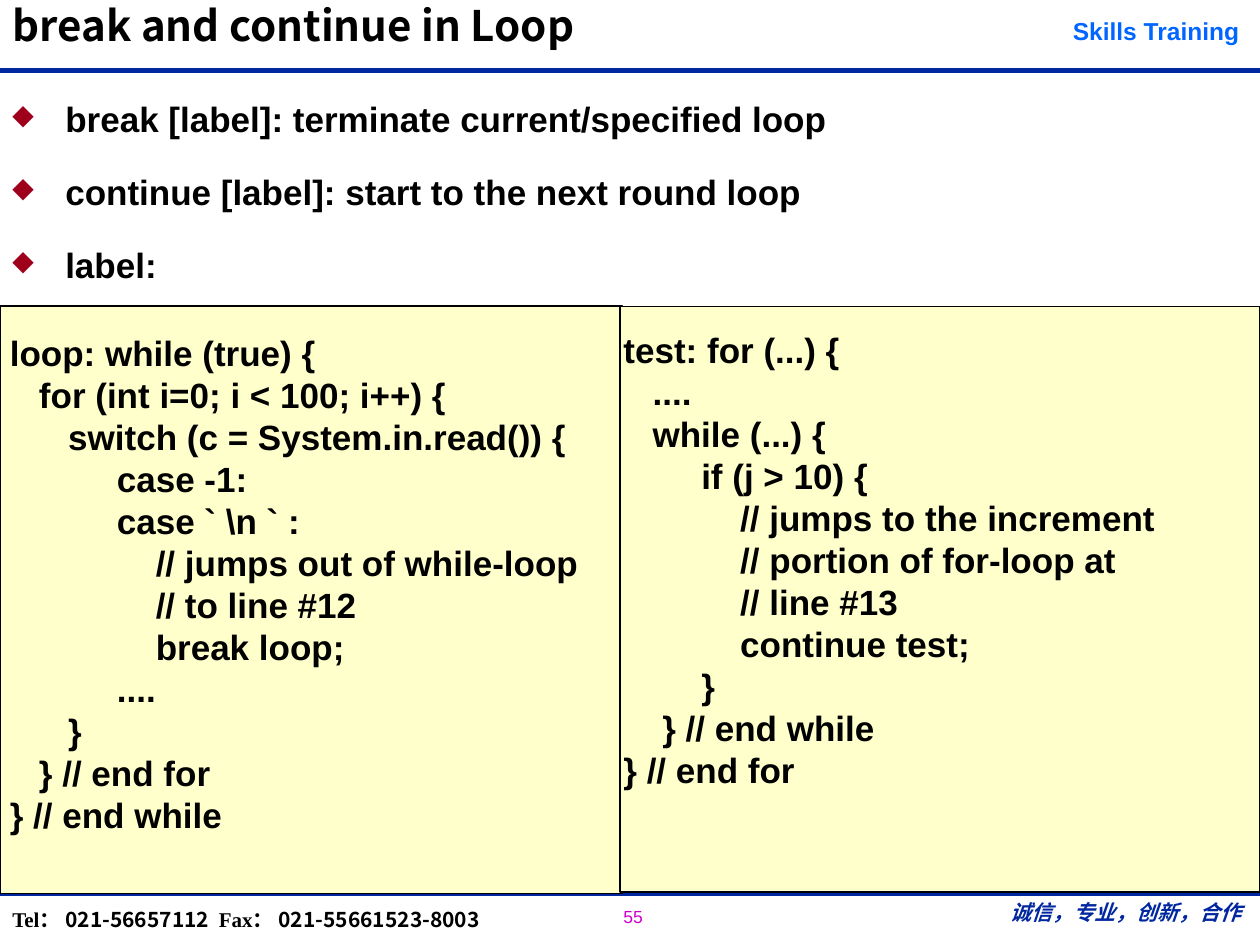
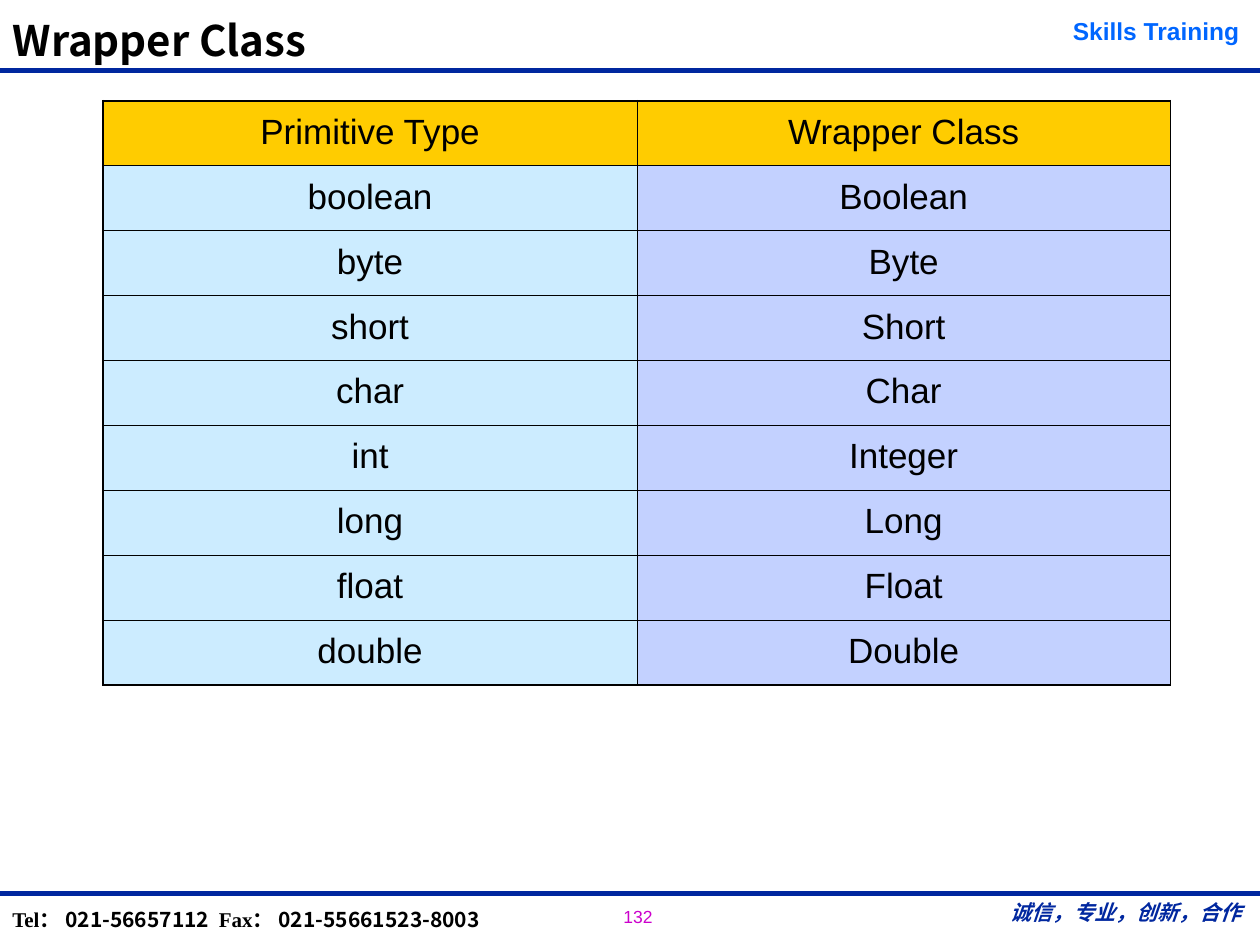
from lxml.etree import SubElement
from pptx import Presentation
from pptx.dml.color import RGBColor
from pptx.enum.shapes import MSO_CONNECTOR, MSO_SHAPE
from pptx.enum.text import MSO_ANCHOR as ANCHOR, MSO_AUTO_SIZE as FIT, PP_ALIGN as ALIGN
from pptx.oxml import parse_xml
from pptx.oxml.ns import nsdecls, qn
from pptx.util import Inches, Pt

BLACK = RGBColor(0x00, 0x00, 0x00)
NAVY = RGBColor(0x00, 0x27, 0x9F)
BLUE = RGBColor(0x00, 0x66, 0xFF)
MAGENTA = RGBColor(0xCC, 0x00, 0xCC)
DARK_RED = RGBColor(0x9E, 0x00, 0x1B)
CREAM = RGBColor(0xFF, 0xFF, 0xCC)
GOLD = RGBColor(0xFF, 0xCC, 0x00)
SKY = RGBColor(0xCC, 0xEC, 0xFF)
LAVENDER = RGBColor(0xC3, 0xD1, 0xFF)

SANS, SERIF, CJK = "Arial", "Times New Roman", "Noto Sans CJK SC"
COLS, ROWS = 100, 75
CODE_SPACE = Pt(5.56)

BULLETS = (
    "break [label]: terminate current/specified loop",
    "continue [label]: start to the next round loop",
    "label:",
)

BREAK_CODE = r"""loop: while (true) {
   for (int i=0; i < 100; i++) {
      switch (c = System.in.read()) {
           case -1:
           case ` \n ` :
               // jumps out of while-loop
               // to line #12
               break loop;
           ....
      }
   } // end for
} // end while"""

CONTINUE_CODE = """test: for (...) {
   ....
   while (...) {
        if (j > 10) {
            // jumps to the increment
            // portion of for-loop at
            // line #13
            continue test;
        }
    } // end while
} // end for"""

WRAPPERS = (
    ("Primitive Type", "Wrapper Class"),
    ("boolean", "Boolean"),
    ("byte", "Byte"),
    ("short", "Short"),
    ("char", "Char"),
    ("int", "Integer"),
    ("long", "Long"),
    ("float", "Float"),
    ("double", "Double"),
)


class Deck:
    """Holds the presentation, its grid and the slide being built."""

    def __init__(self):
        self.prs = Presentation()
        self.prs.slide_width, self.prs.slide_height = Inches(10), Inches(7.5)
        self.s = None

    def x(self, cols):
        return round(self.prs.slide_width * cols / COLS)

    def y(self, rows):
        return round(self.prs.slide_height * rows / ROWS)

    def box(self, left, top, width, height):
        return self.x(left), self.y(top), self.x(width), self.y(height)

    def run(self, p, text, size, font=SANS, color=BLACK, bold=True, italic=False):
        r = p.add_run()
        r.text = text
        f = r.font
        f.size, f.name, f.bold, f.italic = Pt(size), font, bold, italic
        f.color.rgb = color
        SubElement(r._r.get_or_add_rPr(), qn("a:ea")).set("typeface", CJK)

    def paragraphs(self, tf, count):
        return [tf.paragraphs[0]] + [tf.add_paragraph() for _ in range(count - 1)]

    def text(self, *area):
        tf = self.s.shapes.add_textbox(*self.box(*area)).text_frame
        tf.word_wrap = True
        return tf

    def label(self, area, *runs, align=ALIGN.LEFT):
        p = self.text(*area).paragraphs[0]
        p.alignment = align
        for text, style in runs:
            self.run(p, text, **style)

    def rule(self, row):
        sp = self.s.shapes.add_connector(
            MSO_CONNECTOR.STRAIGHT, 0, self.y(row), self.x(COLS), self.y(row))
        sp.line.color.rgb = NAVY
        sp.line.width = Pt(2.75)
        SubElement(sp._element.spPr, qn("a:effectLst"))

    def slide(self, title, number, anchor):
        self.s = self.prs.slides.add_slide(self.prs.slide_layouts[5])
        self.title(title, anchor)
        self.rule(5.6)
        self.rule(70.9)
        self.label((83.8, 0.8, 15.9, 3.3),
                   ("Skills Training", dict(size=14, color=BLUE)), align=ALIGN.CENTER)
        self.label((48.5, 71.4, 8.3, 2.6),
                   (number, dict(size=10, color=MAGENTA, bold=False)))
        slogan = dict(font=SERIF, color=NAVY, italic=True)
        self.label((78.4, 70.1, 21.4, 4), (" ", dict(size=18, **slogan)),
                   ("诚信，专业，创新，合作", dict(size=12, **slogan)), align=ALIGN.CENTER)
        caption, digits = dict(size=12, font=SERIF), dict(size=12, font=CJK)
        self.label((0, 69.8, 42.9, 5),
                   ("Tel： ", caption), ("021-56657112", digits),
                   (" ", dict(size=24, font=CJK, italic=True)),
                   ("Fax： ", caption), ("021-55661523-8003", digits))

    def title(self, text, anchor):
        sp = self.s.shapes.title
        sp.left, sp.top, sp.width, sp.height = self.box(0, 0, 83.4, 5.7)
        tf = sp.text_frame
        tf.auto_size, tf.vertical_anchor = FIT.NONE, anchor
        p = tf.paragraphs[0]
        p.alignment, p.line_spacing = ALIGN.LEFT, 0.87
        self.run(p, text, 24, CJK)

    def bullets(self, area, items):
        tf = self.text(*area)
        for p, item in zip(self.paragraphs(tf, len(items)), items):
            p.line_spacing = Pt(29.9)
            p.space_before = p.space_after = Pt(5.9)
            pPr = p._p.get_or_add_pPr()
            pPr.set("marL", str(self.x(4.2)))
            pPr.set("indent", str(-self.x(4.2)))
            color = SubElement(pPr, qn("a:buClr"))
            SubElement(color, qn("a:srgbClr")).set("val", str(DARK_RED))
            SubElement(pPr, qn("a:buSzPct")).set("val", "80000")
            SubElement(pPr, qn("a:buChar")).set("char", "◆")
            self.run(p, item, 20)

    def code(self, panel, area, source):
        sp = self.s.shapes.add_shape(MSO_SHAPE.RECTANGLE, *self.box(*panel))
        sp.shadow.inherit = False
        sp.fill.solid()
        sp.fill.fore_color.rgb = CREAM
        sp.line.color.rgb = BLACK
        sp.line.width = Pt(0.75)
        lines = source.splitlines()
        for p, line in zip(self.paragraphs(self.text(*area), len(lines)), lines):
            code = line.lstrip()
            indent = CODE_SPACE * (len(line) - len(code))
            p._p.get_or_add_pPr().set("marL", str(indent))
            self.run(p, code, 20)

    def table(self, area, data):
        last_row, last_col = len(data) - 1, len(data[0]) - 1
        tbl = self.s.shapes.add_table(last_row + 1, last_col + 1, *self.box(*area)).table
        tbl.first_row = tbl.horz_banding = False
        for i, row in enumerate(data):
            for j, text in enumerate(row):
                cell = tbl.cell(i, j)
                cell.vertical_anchor = ANCHOR.MIDDLE
                cell.fill.solid()
                cell.fill.fore_color.rgb = (SKY, LAVENDER)[j] if i else GOLD
                p = cell.text_frame.paragraphs[0]
                p.alignment, p.line_spacing = ALIGN.CENTER, 0.93
                p.space_before = p.space_after = Pt(5.9)
                self.run(p, text, 20, bold=False)
                self.borders(cell, L=j == 0, R=j == last_col, T=i == 0, B=i == last_row)

    def borders(self, cell, **outer_sides):
        tcPr = cell._tc.get_or_add_tcPr()
        for k, (side, outer) in enumerate(outer_sides.items()):
            width = Pt(1.08 if outer else 0.45)
            tcPr.insert(k, parse_xml(
                f'<a:ln{side} {nsdecls("a")} w="{width}"><a:solidFill>'
                f'<a:srgbClr val="{BLACK}"/></a:solidFill></a:ln{side}>'))


def main():
    deck = Deck()

    deck.slide("break and continue in Loop", "55", ANCHOR.TOP)
    deck.bullets((0, 6.4, 100, 17.9), BULLETS)
    deck.code((0, 24.3, 49.4, 46.6), (-0.2, 25.8, 49, 44.4), BREAK_CODE)
    deck.code((49.2, 24.3, 50.8, 46.5), (48.5, 25.6, 49, 44.4), CONTINUE_CODE)

    deck.slide("Wrapper Class", "132", ANCHOR.BOTTOM)
    deck.table((8.2, 8, 84.7, 46.4), WRAPPERS)

    deck.prs.save("out.pptx")


if __name__ == "__main__":
    main()
